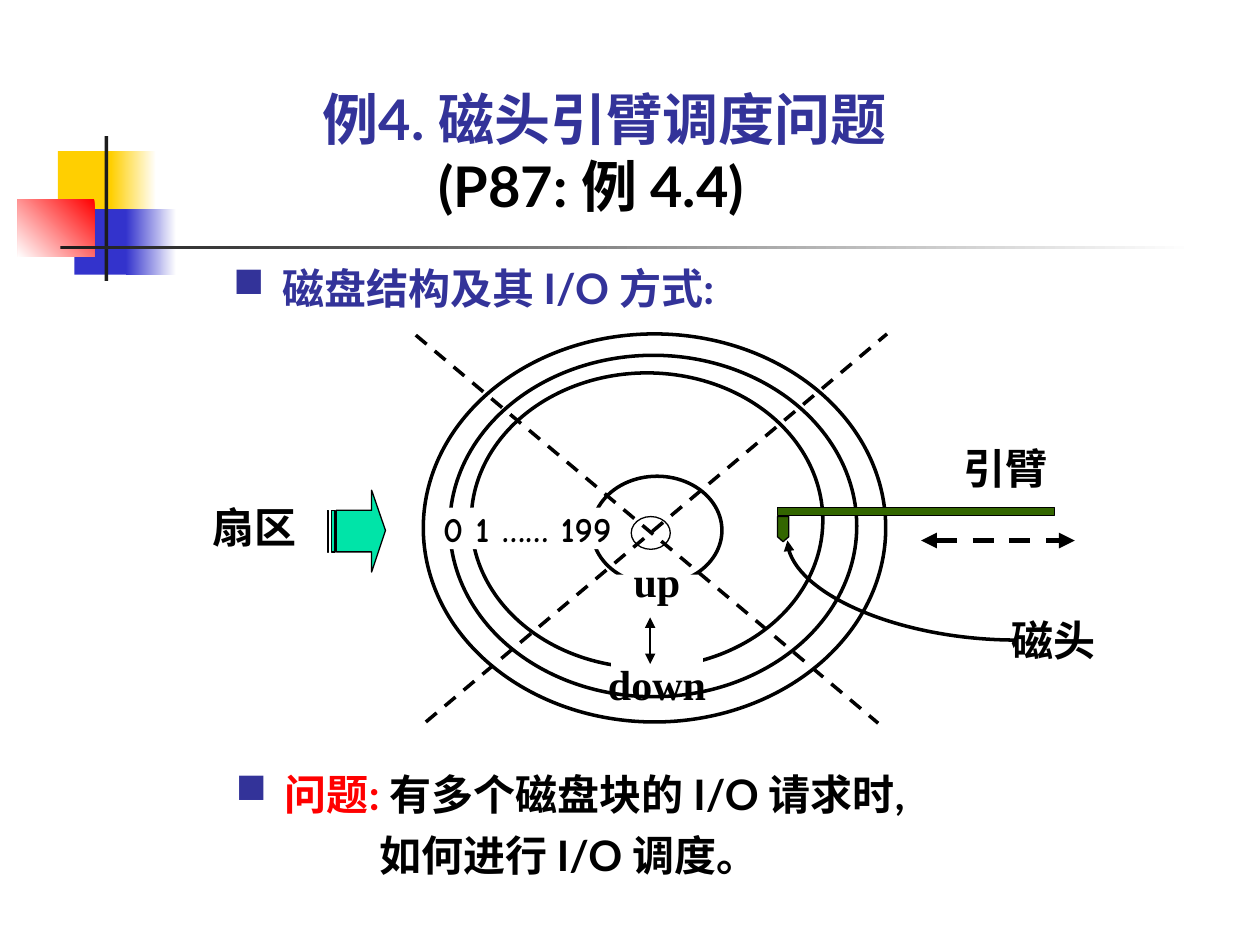
from pptx import Presentation
from pptx.dml.color import RGBColor
from pptx.enum.dml import MSO_LINE
from pptx.enum.shapes import MSO_CONNECTOR, MSO_SHAPE
from pptx.enum.text import MSO_ANCHOR, PP_ALIGN
from pptx.oxml.ns import qn
from pptx.util import Inches, Pt
from lxml import etree

RECT, OVAL = MSO_SHAPE.RECTANGLE, MSO_SHAPE.OVAL
HEAD_SHAPE = MSO_SHAPE.FLOWCHART_OFFPAGE_CONNECTOR
STRAIGHT, CURVE = MSO_CONNECTOR.STRAIGHT, MSO_CONNECTOR.CURVE
LEFT, CENTER = PP_ALIGN.LEFT, PP_ALIGN.CENTER
TOP, MIDDLE, BOTTOM = MSO_ANCHOR.TOP, MSO_ANCHOR.MIDDLE, MSO_ANCHOR.BOTTOM

BLACK, WHITE = RGBColor(0, 0, 0), RGBColor(255, 255, 255)
INDIGO, BLUE = RGBColor(0x33, 0x33, 0x99), RGBColor(0x33, 0x33, 0xCC)
YELLOW, RED = RGBColor(0xFF, 0xCF, 0x01), RGBColor(255, 0, 0)
CHARCOAL, GREEN = RGBColor(0x1C, 0x1C, 0x1C), RGBColor(0x33, 0x66, 0)
MINT = RGBColor(0, 0xE4, 0xA8)
SANS, HAND, SERIF = "Lato", "Comic Neue", "Times New Roman"

# Content: a paragraph is (runs, options), a run is (text, colour)
TITLE = [([("例4. 磁头引臂调度问题", INDIGO)], {}),
         ([("(P87: 例 4.4)", BLACK)], {"margin": 0.92})]
STRUCTURE = [([("磁盘结构及其 I/O 方式:", INDIGO)], {"margin": 0.39, "bullet": True})]
QUESTION = [([("问题: ", RED), ("有多个磁盘块的 I/O 请求时,", BLACK)],
             {"margin": 0.39, "bullet": True, "spacing": 1.2}),
            ([("如何进行 I/O 调度。", BLACK)], {"margin": 1.14, "spacing": 1.2})]
TRACKS = [([("0 1 …… 199", BLACK)], {})]
DIRECTIONS = [([("up", BLACK)], {}), ([("down", BLACK)], {"before": 30})]
LABELS = [("磁头", 8.03, 4.88), ("引臂", 7.65, 3.51), ("扇区", 1.69, 3.98)]

# Corner ornament: box, colour at the start, colour at the end, angle
ORNAMENT = [
    ((0.46, 1.2, 0.48, 0.52), YELLOW, None, 0),
    ((0.88, 1.2, 0.36, 0.52), YELLOW, WHITE, 0),
    ((0.59, 1.66, 0.46, 0.52), BLUE, None, 0),
    ((1, 1.66, 0.4, 0.52), BLUE, WHITE, 0),
    ((0.14, 1.58, 0.61, 0.46), RED, WHITE, 225),
    ((0.83, 1.08, 0.03, 1.15), CHARCOAL, None, 0),
    ((0.48, 1.95, 9, 0.03), CHARCOAL, WHITE, 0),
]
RINGS = [(3.36, 2.65, 3.67, 3.08), (3.57, 2.82, 3.23, 2.71),
         (3.74, 2.96, 2.79, 2.34), (4.7, 3.78, 1.03, 0.86)]
SECTOR_LINES = [((3.3, 2.66), (6.97, 5.74)), ((3.38, 5.73), (7.04, 2.65))]

# Striped arrow, in hundredths of an inch
ARROW_TOP, ARROW_BOTTOM = 405, 438
ARROW_HEAD = [(267, 405), (295, 405), (295, 389), (306, 421),
              (295, 454), (295, 438), (267, 438)]
ARROW_STRIPES = [(260, 261), (263, 266)]

prs = Presentation()
prs.slide_width, prs.slide_height = Inches(10), Inches(7.5)
slide = prs.slides.add_slide(prs.slide_layouts[5])
shapes = slide.shapes


def write(shape, paragraphs, font=SANS, size=24, align=LEFT, anchor=TOP,
          wrap=True, inset=0):
    frame = shape.text_frame
    frame.word_wrap, frame.vertical_anchor = wrap, anchor
    frame.margin_left = frame.margin_right = Inches(inset)
    frame.margin_top = frame.margin_bottom = Inches(inset / 2)
    for index, (runs, options) in enumerate(paragraphs):
        para = frame.add_paragraph() if index else frame.paragraphs[0]
        para.alignment = align
        para.line_spacing = options.get("spacing", 1.0)
        para.space_before = Pt(options.get("before", 0))
        props = para._p.get_or_add_pPr()
        margin = Inches(options.get("margin", 0))
        bulleted = options.get("bullet", False)
        props.set("marL", str(margin))
        props.set("indent", str(-margin if bulleted else 0))
        if bulleted:
            color = etree.SubElement(props, qn("a:buClr"))
            etree.SubElement(color, qn("a:srgbClr"), val=str(INDIGO))
            etree.SubElement(props, qn("a:buChar"), char="■")
        else:
            etree.SubElement(props, qn("a:buNone"))
        for text, color in runs:
            run = para.add_run()
            run.text = text
            run.font.name, run.font.size, run.font.bold = font, Pt(size), True
            run.font.color.rgb = color


def text_box(box, paragraphs, **style):
    write(shapes.add_textbox(*map(Inches, box)), paragraphs, **style)


def paint(shape, fill, line=0):
    shape.shadow.inherit = False
    shape.fill.solid()
    shape.fill.fore_color.rgb = fill
    if line:
        shape.line.color.rgb, shape.line.width = BLACK, Pt(line)
    else:
        shape.line.fill.background()
    return shape


def add(kind, box, fill, line=0):
    return paint(shapes.add_shape(kind, *map(Inches, box)), fill, line)


def connect(start, end, width, kind=STRAIGHT, dashed=False, arrows=()):
    link = shapes.add_connector(kind, *map(Inches, start + end))
    link.line.color.rgb, link.line.width = BLACK, Pt(width)
    if dashed:
        link.line.dash_style = MSO_LINE.DASH
    for arrow in arrows:
        etree.SubElement(link.line._get_or_add_ln(), qn(arrow), type="triangle")
    props = link._element.spPr
    etree.SubElement(props, qn("a:effectLst"))
    if kind == CURVE:  # quarter bend
        props.find(qn("a:prstGeom")).set("prst", "curvedConnector2")


# Corner ornament
for box, start, end, angle in ORNAMENT:
    block = add(RECT, box, start)
    if end is not None:
        block.fill.gradient()
        block.fill.gradient_angle = angle
        for stop, color in zip(block.fill.gradient_stops, (start, end)):
            stop.color.rgb = color
        block.fill.gradient_stops[0].position = 0
        block.fill.gradient_stops[1].position = 1

# Title
title = shapes.title
title.left, title.top, title.width, title.height = map(Inches, (2.56, 0.14, 4.57, 1.6))
write(title, TITLE, size=32, anchor=BOTTOM)

# Disk with its track numbers and spindle
for ring in RINGS:
    add(OVAL, ring, WHITE, 2)
write(add(RECT, (3.45, 4.03, 1.47, 0.33), WHITE), TRACKS, font=HAND, size=20,
      align=CENTER, anchor=MIDDLE, wrap=False, inset=0.1)
add(OVAL, (5.01, 4.1, 0.31, 0.26), WHITE, 0.75)

# Head and arm
add(HEAD_SHAPE, (6.17, 4.1, 0.09, 0.2), GREEN, 0.75)
add(RECT, (6.17, 4.03, 2.2, 0.06), GREEN, 0.75)

# Directions, pointers and sector lines
both_ends = ("a:headEnd", "a:tailEnd")
write(add(RECT, (4.85, 4.56, 0.73, 0.92), WHITE), DIRECTIONS, font=SERIF,
      align=CENTER, anchor=MIDDLE, wrap=False, inset=0.1)
connect((5.16, 4.9), (5.16, 5.27), 0.75, arrows=both_ends)
connect((8.07, 5.08), (6.25, 4.29), 2, kind=CURVE, arrows=("a:tailEnd",))
for start, end in SECTOR_LINES:
    connect(start, end, 2, dashed=True)
connect((7.31, 4.29), (8.53, 4.29), 3, dashed=True, arrows=both_ends)

# Labels
for label, left, top in LABELS:
    text_box((left, top, 0.67, 0.4), [([(label, BLACK)], {})], font=HAND, wrap=False)

# Striped arrow
outline = shapes.build_freeform(*ARROW_HEAD[0], scale=9144)
outline.add_line_segments(ARROW_HEAD[1:])
for left, right in ARROW_STRIPES:
    outline.move_to(left, ARROW_TOP)
    outline.add_line_segments([(right, ARROW_TOP), (right, ARROW_BOTTOM),
                               (left, ARROW_BOTTOM)])
paint(outline.convert_to_shape(), MINT, 0.75)

# Body text
text_box((1.85, 2.08, 3.9, 0.4), STRUCTURE)
text_box((1.87, 6.02, 5.55, 0.96), QUESTION)

prs.save("out.pptx")
